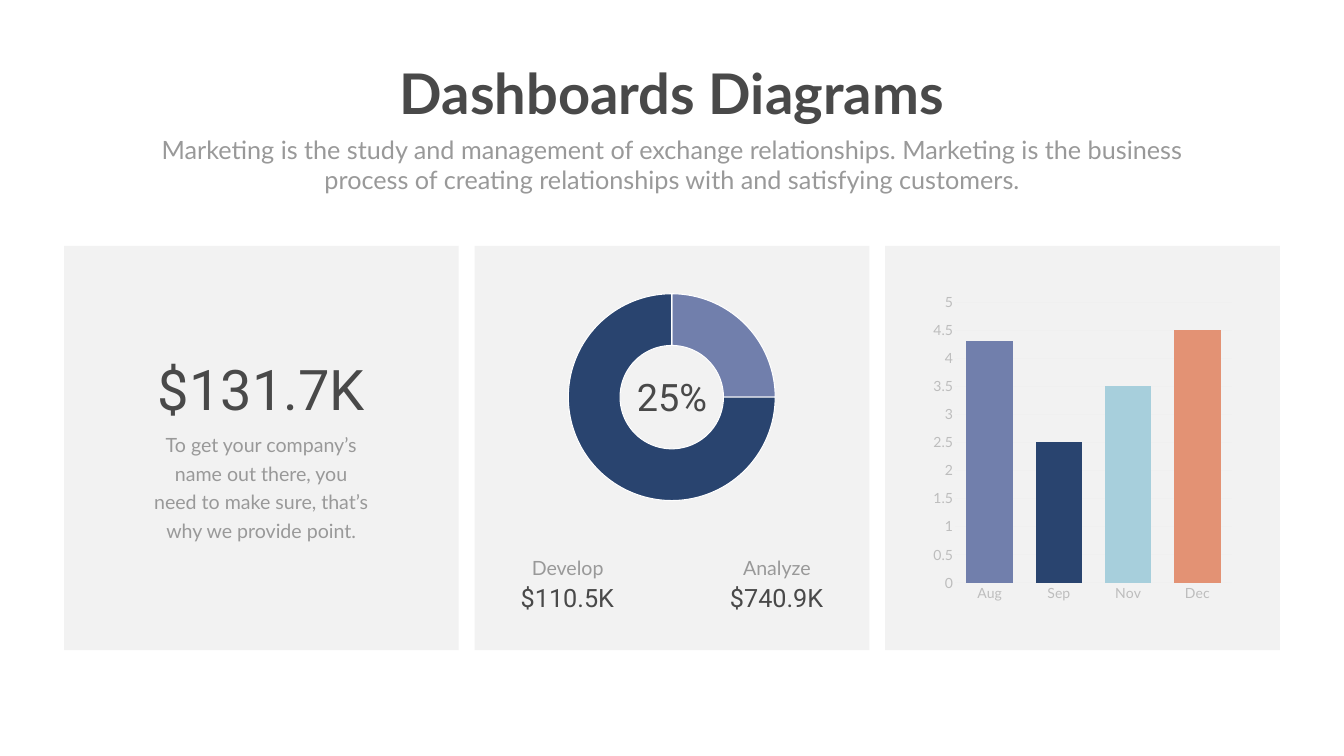
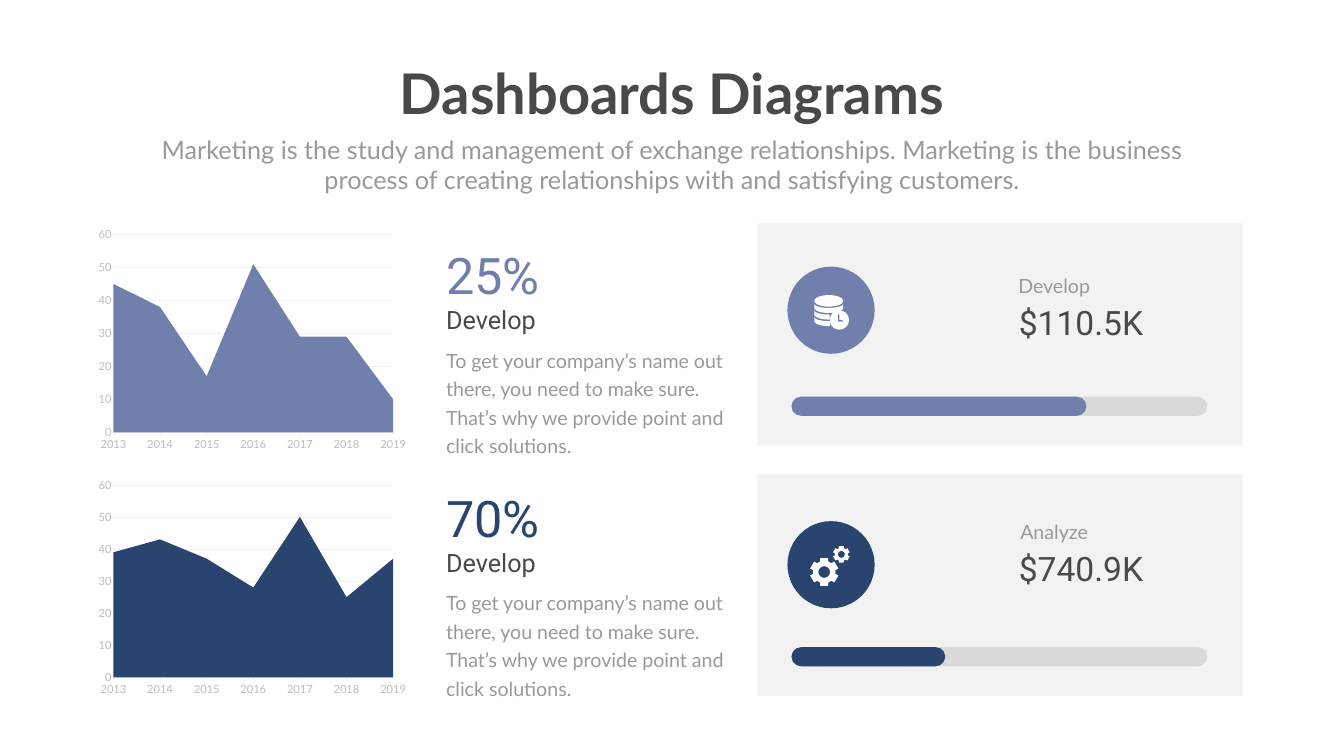
from math import cos, pi, radians, sin

from lxml import etree
from pptx import Presentation
from pptx.chart.data import CategoryChartData
from pptx.dml.color import RGBColor
from pptx.enum import chart as chart_enum, shapes as shape_enum, text as text_enum
from pptx.oxml.ns import qn
from pptx.util import Inches, Pt

CHART, SHAPE = chart_enum.XL_CHART_TYPE, shape_enum.MSO_SHAPE
LEFT, CENTER = text_enum.PP_ALIGN.LEFT, text_enum.PP_ALIGN.CENTER

WHITE, DARK, GREY = "FFFFFF", "494949", "999999"
AXIS_TEXT, GRID, TRACK, CARD = "BDBDBD", "F0F0F0", "D9D9D9", "808080"
PERIWINKLE, NAVY, SKY, CORAL = "717FAC", "29446F", "A7CFDC", "E39274"
BODY_FONT, FIGURE_FONT = "Lato", "Roboto"

TITLE = "Dashboards Diagrams"
SUBTITLE = ("Marketing is the study and management of exchange relationships. "
            "Marketing is the business process of creating relationships with "
            "and satisfying customers.")

REVENUE = "$131.7K"
REVENUE_NOTE = ("To get your company’s name out there, you need to make sure, "
                "that’s why we provide point.")
SHARE = [("1", 25, PERIWINKLE), ("2", 75, NAVY)]
SHARE_LABEL = "25%"
TOTALS = [("Develop", "$110.5K"), ("Analyze", "$740.9K")]
MONTHS = [("Aug", 4.3, PERIWINKLE), ("Sep", 2.5, NAVY),
          ("Nov", 3.5, SKY), ("Dec", 4.5, CORAL)]

YEARS = [str(year) for year in range(2013, 2020)]
TREND_NOTE = ("To get your company’s name out there, you need to make sure. "
              "That’s why we provide point and click solutions.")
TRENDS = [
    dict(color=PERIWINKLE, percent="25%", values=[45, 38, 17, 51, 29, 29, 10],
         progress=5.85, top=4.43, chart_height=4.6, text_top=4.8,
         icon_top=5.29, total_left=20.1, total_top=5.29),
    dict(color=NAVY, percent="70%", values=[39, 43, 37, 28, 50, 25, 37],
         progress=3.05, top=9.4, chart_height=4.49, text_top=9.61,
         icon_top=10.34, total_left=20.14, total_top=10.17),
]


def rgb(color):
    return RGBColor.from_string(color)


def box(*lengths):
    return [Inches(length) for length in lengths]


def format_text(shape, text, size, color, font, align=LEFT, leading=None,
                bold=False, wrap=True):
    frame = shape.text_frame
    frame.text = text
    frame.word_wrap = wrap
    frame.auto_size = text_enum.MSO_AUTO_SIZE.NONE
    frame.vertical_anchor = text_enum.MSO_ANCHOR.TOP
    paragraph = frame.paragraphs[0]
    paragraph.alignment = align
    if leading:
        paragraph.line_spacing = Pt(leading)
    run_font = paragraph.runs[0].font
    run_font.name, run_font.size, run_font.bold = font, Pt(size), bold
    run_font.color.rgb = rgb(color)


def add_figure(slide, bounds, text, size, color=DARK, align=LEFT):
    format_text(slide.shapes.add_textbox(*box(*bounds)), text, size, color,
                FIGURE_FONT, align)


def add_body(slide, bounds, text, align=LEFT):
    format_text(slide.shapes.add_textbox(*box(*bounds)), text, 28, GREY,
                BODY_FONT, align, leading=40.8)


def paint(shape, color):
    shape.shadow.inherit = False
    shape.fill.solid()
    shape.fill.fore_color.rgb = rgb(color)
    shape.line.fill.background()


def add_solid(slide, kind, bounds, color):
    shape = slide.shapes.add_shape(kind, *box(*bounds))
    paint(shape, color)
    return shape


def add_card(slide, *bounds):
    """Add a panel filled with grey at 10% opacity."""
    card = add_solid(slide, SHAPE.RECTANGLE, bounds, CARD)
    color = card._element.spPr.find(qn("a:solidFill"))[0]
    etree.SubElement(color, qn("a:alpha"), val="10000")


def add_pill(slide, left, top, width, color):
    pill = add_solid(slide, SHAPE.ROUNDED_RECTANGLE, (left, top, width, 0.38), color)
    pill.adjustments[0] = 0.5


def add_outline(slide, *contours):
    """Draw closed white contours; an inner contour cuts a hole."""
    contours = [[tuple(box(x, y)) for x, y in contour] for contour in contours]
    builder = slide.shapes.build_freeform(*contours[0][0])
    for index, contour in enumerate(contours):
        if index:
            builder.move_to(*contour[0])
        builder.add_line_segments(contour[1:], close=True)
    paint(builder.convert_to_shape(), WHITE)


def arc(x, y, radius_x, radius_y, start=0, end=360, steps=36):
    angles = [radians(start + (end - start) * i / steps) for i in range(steps + 1)]
    return [(x + radius_x * cos(a), y + radius_y * sin(a)) for a in angles]


def add_gear(slide, x, y, radius):
    teeth = []
    for tooth in range(6):
        for offset, reach in ((-21, 0.8), (-16, 1.03), (16, 1.03), (21, 0.8)):
            angle = tooth * pi / 3 - pi / 2 + radians(offset)
            teeth.append((x + radius * reach * cos(angle),
                          y + radius * reach * sin(angle)))
    add_outline(slide, teeth, arc(x, y, 0.41 * radius, 0.41 * radius))


def add_gears_icon(slide):
    add_gear(slide, 16.35, 11.35, 0.28)
    add_gear(slide, 16.69, 11, 0.165)


def add_database_icon(slide):
    x, radius = 16.44, 0.285
    add_outline(slide, arc(x, 5.97, radius, 0.115))
    for top, end in ((6.03, 0), (6.16, 87), (6.29, 85)):
        upper = arc(x, top, radius, 0.08, 180, end)
        lower = arc(x, top + 0.08, radius, 0.1, end, 180)
        add_outline(slide, upper + lower)
    hands = [(16.62, 6.24), (16.65, 6.24), (16.65, 6.35),
             (16.72, 6.35), (16.72, 6.38), (16.62, 6.38)]
    add_outline(slide, arc(16.65, 6.35, 0.19, 0.19), hands)


def add_chart(slide, kind, bounds, categories, values, size, font=BODY_FONT):
    data = CategoryChartData()
    data.categories = categories
    data.add_series("Series 1", values)
    chart = slide.shapes.add_chart(kind, *box(*bounds), data).chart
    chart.has_title = chart.has_legend = False
    chart.font.name, chart.font.size = font, Pt(size)
    chart.font.color.rgb = rgb(GREY)
    return chart


def fill_format(item, color):
    item.format.fill.solid()
    item.format.fill.fore_color.rgb = rgb(color)


def style_axes(chart, size, maximum, step, category_tick):
    value_axis, category_axis = chart.value_axis, chart.category_axis
    value_axis.minimum_scale, value_axis.maximum_scale = 0, maximum
    value_axis.major_unit = step
    value_axis.has_major_gridlines = True
    category_axis.has_major_gridlines = False
    for axis, tick in ((value_axis, chart_enum.XL_TICK_MARK.NONE),
                       (category_axis, category_tick)):
        axis.major_tick_mark = tick
        axis.minor_tick_mark = chart_enum.XL_TICK_MARK.NONE
        font = axis.tick_labels.font
        font.name, font.size = BODY_FONT, Pt(size)
        font.color.rgb = rgb(AXIS_TEXT)
    for line in (value_axis.major_gridlines.format.line, category_axis.format.line):
        line.color.rgb = rgb(GRID)
        line.width = Pt(0.75)
    value_axis.format.line.fill.background()


def add_share_chart(slide):
    names, values, colors = zip(*SHARE)
    chart = add_chart(slide, CHART.DOUGHNUT, (10.99, 5.69, 4.67, 4.38),
                      names, values, 10, "Calibri")
    plot = chart.plots[0]
    plot.has_data_labels = False
    plot._element.find(qn("c:holeSize")).set("val", "75")
    for index, color in enumerate(colors):
        point = plot.series[0].points[index]
        fill_format(point, color)
        point.format.line.color.rgb = rgb(WHITE)
        point.format.line.width = Pt(1.5)


def add_month_chart(slide):
    names, values, colors = zip(*MONTHS)
    chart = add_chart(slide, CHART.COLUMN_CLUSTERED, (18.39, 5.69, 6.17, 6.38),
                      names, values, 20)
    style_axes(chart, 20, 5, 0.5, chart_enum.XL_TICK_MARK.NONE)
    plot = chart.plots[0]
    plot.vary_by_categories = False
    plot.gap_width, plot.overlap = 48, -27
    fill_format(plot.series[0], colors[0])
    for index, color in enumerate(colors[1:], 1):
        fill_format(plot.series[0].points[index], color)


def add_trend_chart(slide, trend):
    chart = add_chart(slide, CHART.AREA, (1.83, trend["top"], 6.35, trend["chart_height"]),
                      YEARS, trend["values"], 16)
    style_axes(chart, 16, 60, 10, chart_enum.XL_TICK_MARK.OUTSIDE)
    chart.value_axis._element.find(qn("c:crossBetween")).set("val", "midCat")
    chart.plots[0].vary_by_categories = False
    fill_format(chart.plots[0].series[0], trend["color"])


def add_dashboard_slide(presentation):
    slide = presentation.slides.add_slide(presentation.slide_layouts[5])
    title = slide.shapes.title
    title.left, title.top, title.width, title.height = box(7.72, 1.12, 11.22, 1.45)
    format_text(title, TITLE, 80, DARK, BODY_FONT, CENTER, bold=True, wrap=False)
    subtitle = slide.shapes.add_textbox(*box(2.92, 2.61, 20.82, 1.31))
    format_text(subtitle, SUBTITLE, 36, GREY, BODY_FONT, CENTER)
    return slide


def build_summary(presentation):
    slide = add_dashboard_slide(presentation)
    for column in range(3):
        add_card(slide, 1.27 + column * 8.145, 4.88, 7.83, 8.02)
    add_figure(slide, (2.63, 6.99, 5.11, 1.45), REVENUE, 80, align=CENTER)
    add_body(slide, (2.93, 8.44, 4.5, 2.34), REVENUE_NOTE, CENTER)
    add_share_chart(slide)
    add_figure(slide, (11.98, 7.36, 2.7, 1.01), SHARE_LABEL, 54, align=CENTER)
    for column, (label, amount) in enumerate(TOTALS):
        left = 9.92 + column * 4.15
        add_body(slide, (left + 0.32, 10.89, 2.04, 0.62), label, CENTER)
        add_figure(slide, (left, 11.51, 2.67, 0.71), amount, 36, align=CENTER)
    add_month_chart(slide)


def build_trends(presentation):
    slide = add_dashboard_slide(presentation)
    icons = (add_database_icon, add_gears_icon)
    for trend, (label, amount), add_icon in zip(TRENDS, TOTALS, icons):
        top, text_top, total_top = trend["top"], trend["text_top"], trend["total_top"]
        color = trend["color"]
        add_card(slide, 15.03, top, 9.62, 4.41)
        for width, fill in ((8.25, TRACK), (trend["progress"], color)):
            add_pill(slide, 15.7, top + 3.44, width, fill)
        add_solid(slide, SHAPE.OVAL, (15.62, trend["icon_top"], 1.73, 1.73), color)
        add_icon(slide)
        add_body(slide, (trend["total_left"], total_top, 2.25, 0.63), label)
        add_figure(slide, (20.11, total_top + 0.65, 2.95, 0.91), amount, 48)
        add_trend_chart(slide, trend)
        add_figure(slide, (8.75, text_top, 2.51, 1.31), trend["percent"], 72, color)
        add_figure(slide, (8.75, text_top + 1.19, 5.72, 0.71), "Develop", 36)
        add_body(slide, (8.75, text_top + 1.97, 5.72, 2.34), TREND_NOTE)


def main():
    presentation = Presentation()
    presentation.slide_width, presentation.slide_height = box(26.66, 15)
    build_summary(presentation)
    build_trends(presentation)
    presentation.save("out.pptx")


if __name__ == "__main__":
    main()
